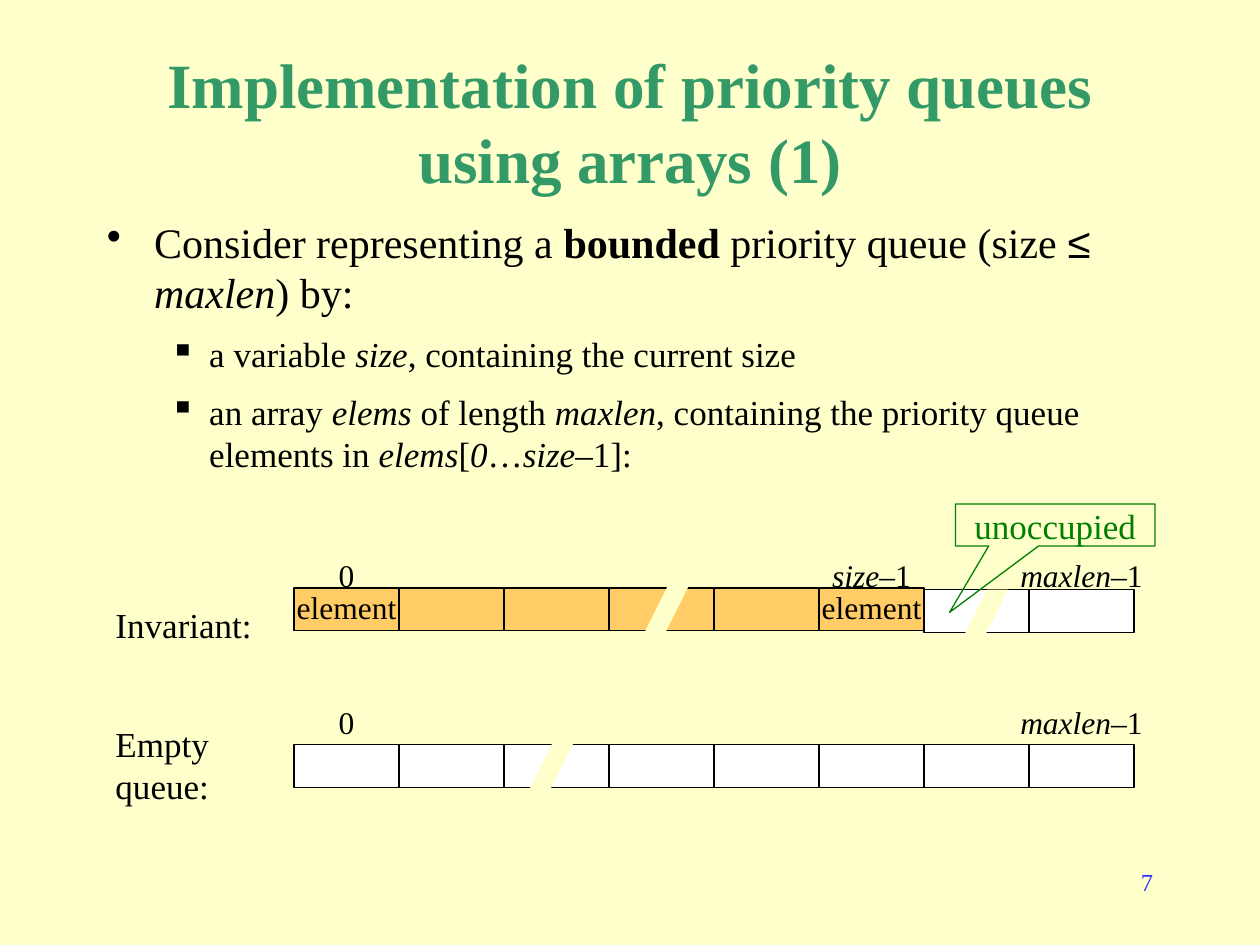
from lxml.etree import SubElement
from pptx import Presentation
from pptx.dml.color import RGBColor
from pptx.enum.shapes import MSO_SHAPE
from pptx.enum.text import MSO_ANCHOR, PP_ALIGN
from pptx.oxml.ns import qn
from pptx.util import Pt

COLORS = {
    "background": "FFFFCC",
    "title": "339966",
    "text": "000000",
    "occupied": "FFCC66",
    "unoccupied": "FFFFFF",
    "callout": "008000",
    "number": "3333FF",
}
SERIF, SANS = "Times New Roman", "Arial"

CELL_LEFT, CELL_WIDTH, CELL_HEIGHT = 168, 60, 24.5
INVARIANT_TOP, EMPTY_TOP = 336, 425.5
CELL_COUNT, OCCUPIED_COUNT = 8, 6


def color(name):
    return RGBColor.from_string(COLORS[name])


class ArraySlide:
    """Holds the slide and its style; all lengths are in points.

    A text is a list of (words, style) pairs, where the style may hold
    "b" for bold, "i" for italic and "s" for the sans-serif font.
    """

    def __init__(self, slide):
        self.slide = slide
        slide.background.fill.solid()
        slide.background.fill.fore_color.rgb = color("background")

    def add_runs(self, paragraph, pieces, size, ink="text", align=PP_ALIGN.LEFT):
        paragraph.alignment = align
        for words, style in pieces:
            run = paragraph.add_run()
            run.text = words
            run.font.name = SANS if "s" in style else SERIF
            run.font.size = Pt(size)
            run.font.bold = "b" in style
            run.font.italic = "i" in style
            run.font.color.rgb = color(ink)

    def prepare(self, frame, side=0, edge=0):
        frame.word_wrap = True
        frame.margin_left = frame.margin_right = Pt(side)
        frame.margin_top = frame.margin_bottom = Pt(edge)
        return frame

    def frame(self, left, top, width, height, side=0, edge=0):
        box = self.slide.shapes.add_textbox(Pt(left), Pt(top), Pt(width), Pt(height))
        return self.prepare(box.text_frame, side, edge)

    def label(self, left, top, width, height, pieces, size=18, align=PP_ALIGN.CENTER):
        frame = self.frame(left, top, width, height)
        self.add_runs(frame.paragraphs[0], pieces, size, align=align)

    def bullet(self, paragraph, mark, pieces, size, indent, hanging, space):
        properties = paragraph._p.get_or_add_pPr()
        properties.set("marL", str(Pt(indent)))
        properties.set("indent", str(-Pt(hanging)))
        mark_color = SubElement(properties, qn("a:buClr"))
        SubElement(mark_color, qn("a:srgbClr")).set("val", COLORS["text"])
        SubElement(properties, qn("a:buChar")).set("char", mark)
        paragraph.space_before = Pt(space)
        self.add_runs(paragraph, pieces, size)

    def cell(self, index, top, fill, words=""):
        cell = self.slide.shapes.add_shape(
            MSO_SHAPE.RECTANGLE, Pt(CELL_LEFT + index * CELL_WIDTH), Pt(top),
            Pt(CELL_WIDTH), Pt(CELL_HEIGHT))
        cell.shadow.inherit = False
        cell.fill.solid()
        cell.fill.fore_color.rgb = color(fill)
        cell.line.color.rgb = color("text")
        cell.line.width = Pt(0.75)
        if words:
            frame = self.prepare(cell.text_frame)
            frame.vertical_anchor = MSO_ANCHOR.TOP
            self.add_runs(frame.paragraphs[0], [(words, "")], 18, align=PP_ALIGN.CENTER)

    def gap(self, left, top):
        """Slanted band that shows that cells are left out."""
        outline = self.slide.shapes.build_freeform(Pt(left), Pt(top + 36))
        outline.add_line_segments(
            [(Pt(left + 18), Pt(top)), (Pt(left + 30), Pt(top)), (Pt(left + 12), Pt(top + 36))])
        band = outline.convert_to_shape()
        band.shadow.inherit = False
        band.fill.solid()
        band.fill.fore_color.rgb = color("background")
        band.line.fill.background()

    def callout(self, left, top, width, height, words, tip):
        callout = self.slide.shapes.add_shape(
            MSO_SHAPE.RECTANGULAR_CALLOUT, Pt(left), Pt(top), Pt(width), Pt(height))
        callout.adjustments[0], callout.adjustments[1] = tip
        callout.shadow.inherit = False
        callout.fill.background()
        callout.line.color.rgb = color("callout")
        callout.line.width = Pt(0.75)
        frame = self.prepare(callout.text_frame, side=3)
        frame.vertical_anchor = MSO_ANCHOR.TOP
        self.add_runs(frame.paragraphs[0], [(words, "")], 20, "callout", PP_ALIGN.CENTER)


def add_text(page):
    title = page.frame(54, 42, 612, 54, side=7.2, edge=3.6)
    title.vertical_anchor = MSO_ANCHOR.MIDDLE
    page.add_runs(title.paragraphs[0],
                  [("Implementation of priority queues using arrays (1)", "b")],
                  36, "title", PP_ALIGN.CENTER)

    body = page.frame(54, 120, 612, 366, side=7.2, edge=3.6)
    page.bullet(body.paragraphs[0], "•", [
        ("Consider representing a ", ""), ("bounded", "b"), (" priority queue (size ", ""),
        ("≤ ", "s"), ("maxlen", "i"), (") by:", ""),
    ], size=24, indent=27, hanging=27, space=0)
    parts = [
        [("a variable ", ""), ("size", "i"), (", containing the current size", "")],
        [("an array ", ""), ("elems", "i"), (" of length ", ""), ("maxlen", "i"),
         (", containing the priority queue elements in ", ""), ("elems", "i"), ("[", ""),
         ("0", "i"), ("…", ""), ("size", "i"), ("–1]:", "")],
    ]
    for pieces in parts:
        paragraph = body.add_paragraph()
        paragraph.level = 1
        page.bullet(paragraph, "▪", pieces, size=20, indent=58.5, hanging=22.5, space=9)

    number = page.frame(516, 492, 150, 36, side=7.2, edge=3.6)
    page.add_runs(number.paragraphs[0], [("7", "")], 14, "number", PP_ALIGN.RIGHT)


def add_arrays(page):
    page.label(66, 345, 84, 24, [("Invariant:", "")], 20, PP_ALIGN.LEFT)
    page.label(66, 413, 84, 48, [("Empty queue:", "")], 20, PP_ALIGN.LEFT)
    for top in (318, 402):
        page.label(CELL_LEFT, top, CELL_WIDTH, 25, [("0", "")])
        page.label(582, top, 72, 25, [("maxlen", "i"), ("–1", "")])
    last_occupied = OCCUPIED_COUNT - 1
    page.label(CELL_LEFT + last_occupied * CELL_WIDTH, 318, CELL_WIDTH, 25,
               [("size", "i"), ("–1", "")])

    for index in range(CELL_COUNT):
        page.cell(index, EMPTY_TOP, "unoccupied")
        if index < OCCUPIED_COUNT:
            words = "element" if index in (0, last_occupied) else ""
            page.cell(index, INVARIANT_TOP, "occupied", words)
        else:
            page.cell(index, INVARIANT_TOP + 1, "unoccupied")

    for left, top in ((300, 420), (366, 330), (546, 337)):
        page.gap(left, top)
    page.callout(546, 288, 114, 24, "unoccupied", tip=(-0.53, 2.08))


def main():
    presentation = Presentation()
    presentation.slide_width, presentation.slide_height = Pt(720), Pt(540)
    page = ArraySlide(presentation.slides.add_slide(presentation.slide_layouts[6]))
    add_text(page)
    add_arrays(page)
    presentation.save("out.pptx")


if __name__ == "__main__":
    main()
